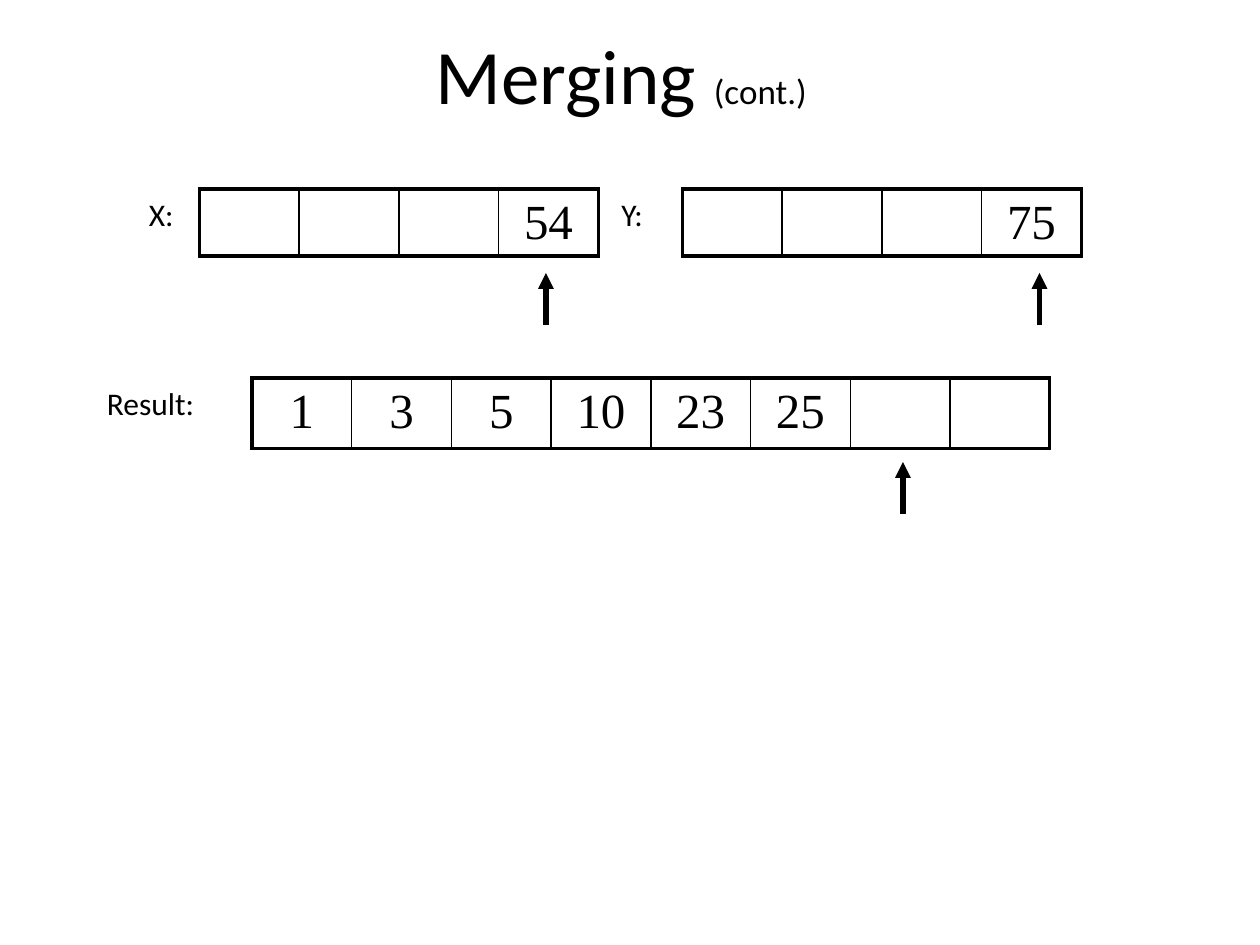
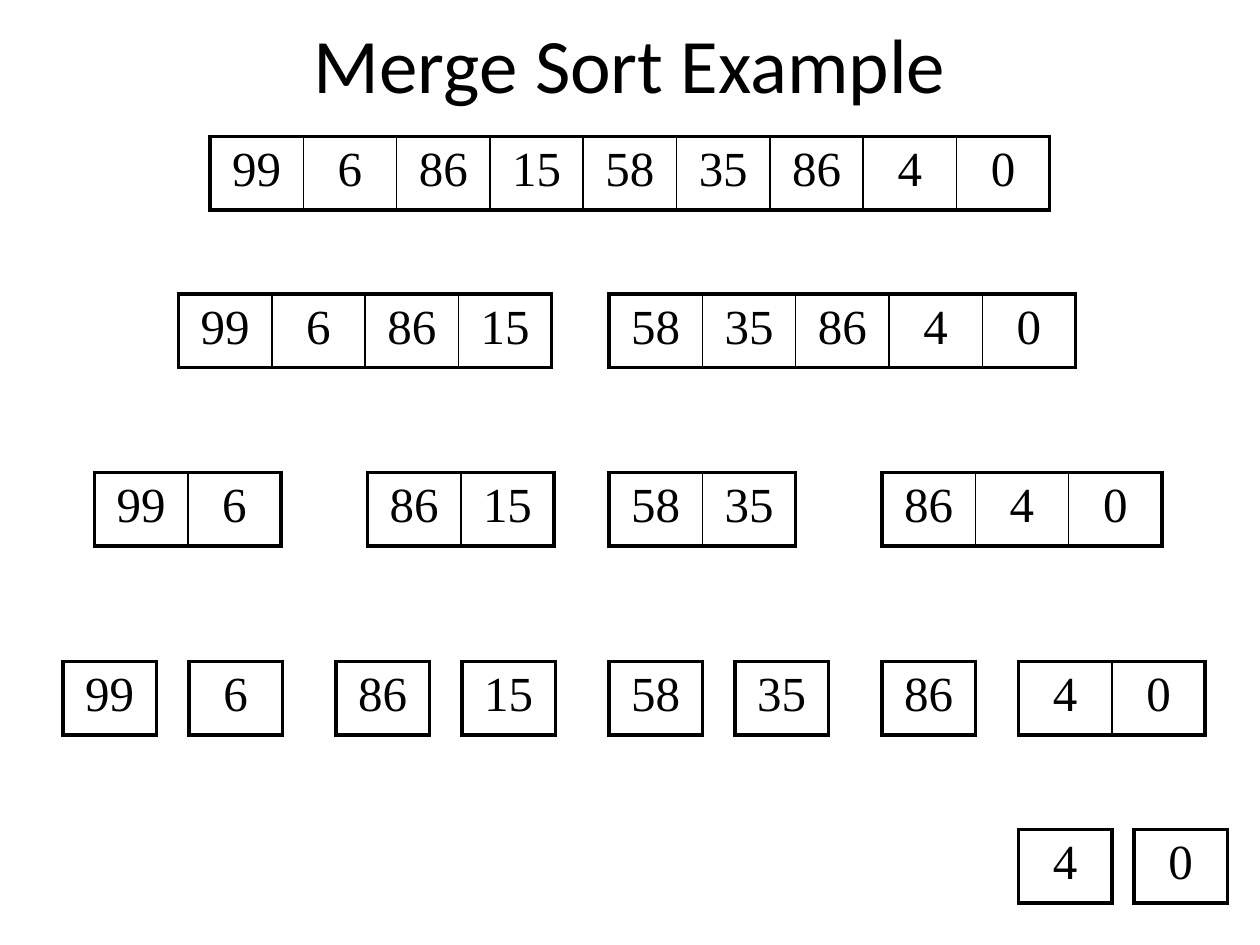
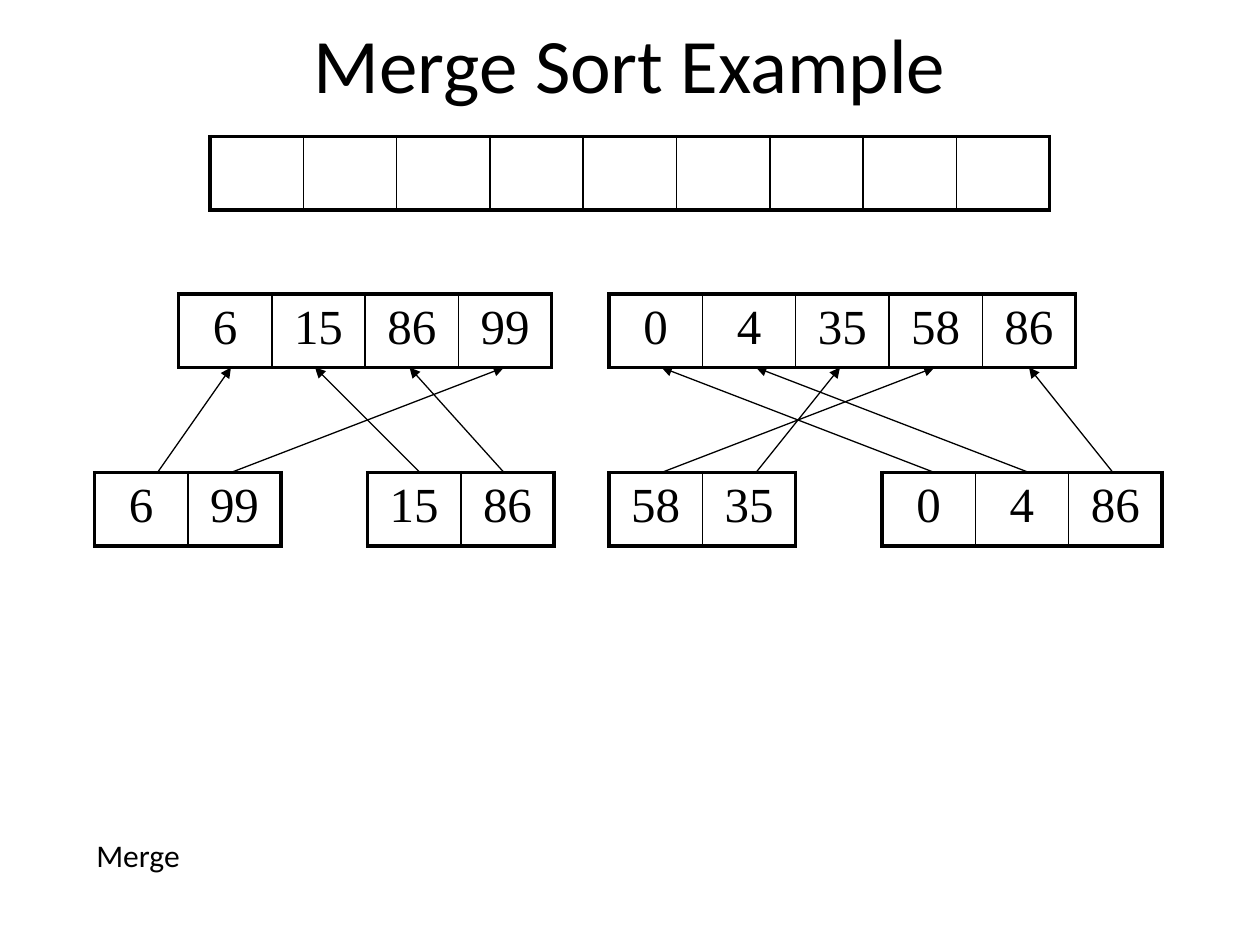
from lxml.etree import SubElement
from pptx import Presentation
from pptx.dml.color import RGBColor
from pptx.enum.shapes import MSO_CONNECTOR
from pptx.enum.text import MSO_ANCHOR, MSO_AUTO_SIZE, PP_ALIGN
from pptx.oxml.ns import qn
from pptx.util import Inches, Pt

INK = "000000"
LABEL_FONT = "Calibri"
NUMBER_FONT = "Times New Roman"
OUTER_LINE, INNER_LINE = 2.25, 1

MERGE_CELL = (9.5, 5.64)
SORT_CELL = (80 / 9, 7)
LEVEL_TOPS = (13, 28, 45, 63, 79)
LEVEL_LEFTS = (
    (20,),
    (17, 58),
    (9, 35, 58, 84),
    (6, 18, 32, 44, 58, 70, 84, 97),
    (97, 108),
)


def grid(units):
    return Inches(units / 12)


def paint(color_format, hex_color=INK):
    color_format.rgb = RGBColor.from_string(hex_color)


def style_font(font, name, size):
    font.name = name
    font.size = Pt(size)
    paint(font.color)


def add_titled_slide(deck, title, top, height, suffix=None):
    slide = deck.slides.add_slide(deck.slide_layouts[5])
    heading = slide.shapes.title
    heading.left, heading.top = grid(9), grid(top)
    heading.width, heading.height = grid(102), grid(height)
    heading.text_frame.vertical_anchor = MSO_ANCHOR.MIDDLE
    paragraph = heading.text_frame.paragraphs[0]
    paragraph.alignment = PP_ALIGN.CENTER
    style_font(paragraph.font, LABEL_FONT, 44)
    paragraph.add_run().text = title
    if suffix:
        small = paragraph.add_run()
        small.text = suffix
        small.font.size = Pt(20)
        paragraph.add_run().text = " "
    return slide


def add_label(slide, text, left, top, width):
    box = slide.shapes.add_textbox(grid(left), grid(top), grid(width), grid(6))
    frame = box.text_frame
    frame.word_wrap = True
    frame.auto_size = MSO_AUTO_SIZE.SHAPE_TO_FIT_TEXT
    frame.text = text
    style_font(frame.paragraphs[0].font, LABEL_FONT, 18)


def add_border(cell, side, width):
    line = SubElement(cell._tc.get_or_add_tcPr(), qn(f"a:ln{side}"), w=str(Pt(width)))
    SubElement(SubElement(line, qn("a:solidFill")), qn("a:srgbClr"), val=INK)


def add_array(slide, values, left, top, cell_size):
    cell_width, cell_height = cell_size
    count = len(values)
    array = slide.shapes.add_table(
        1, count, grid(left), grid(top), grid(cell_width * count), grid(cell_height)
    ).table
    array.first_row = array.horz_banding = False
    for index, value in enumerate(values):
        cell = array.cell(0, index)
        cell.text = str(value)
        paragraph = cell.text_frame.paragraphs[0]
        paragraph.alignment = PP_ALIGN.CENTER
        style_font(paragraph.font, NUMBER_FONT, 28)
        add_border(cell, "L", OUTER_LINE if index == 0 else INNER_LINE)
        add_border(cell, "R", OUTER_LINE if index == count - 1 else INNER_LINE)
        add_border(cell, "T", OUTER_LINE)
        add_border(cell, "B", OUTER_LINE)
        cell.fill.background()


def add_sort_levels(slide, levels):
    for top, lefts, arrays in zip(LEVEL_TOPS, LEVEL_LEFTS, levels):
        for left, values in zip(lefts, arrays):
            add_array(slide, values, left, top, SORT_CELL)


def add_arrow(slide, start, end, width):
    arrow = slide.shapes.add_connector(
        MSO_CONNECTOR.STRAIGHT, *(grid(units) for units in (*start, *end))
    )
    paint(arrow.line.color)
    arrow.line.width = Pt(width)
    SubElement(arrow.line._get_or_add_ln(), qn("a:tailEnd"), type="triangle")
    SubElement(arrow._element.spPr, qn("a:effectLst"))


def build_merging(deck):
    slide = add_titled_slide(deck, "Merging ", 2, 10, "(cont.)")
    add_array(slide, ["", "", "", 54], 19, 18, MERGE_CELL)
    add_array(slide, ["", "", "", 75], 65, 18, MERGE_CELL)
    add_array(slide, [1, 3, 5, 10, 23, 25, "", ""], 24, 36, (9.5, 6.72))
    for x, tip in ((52, 26), (99, 26), (86, 44)):
        add_arrow(slide, (x, tip + 5), (x, tip), 3)
    add_label(slide, "X:", 13, 18, 7)
    add_label(slide, "Y:", 58, 18, 7)
    add_label(slide, "Result:", 9, 36, 14)


def build_splitting(deck):
    slide = add_titled_slide(deck, "Merge Sort Example", 0, 12)
    add_sort_levels(slide, (
        [[99, 6, 86, 15, 58, 35, 86, 4, 0]],
        [[99, 6, 86, 15], [58, 35, 86, 4, 0]],
        [[99, 6], [86, 15], [58, 35], [86, 4, 0]],
        [[99], [6], [86], [15], [58], [35], [86], [4, 0]],
        [[4], [0]],
    ))


def build_merge_step(deck):
    slide = add_titled_slide(deck, "Merge Sort Example", 0, 12)
    add_sort_levels(slide, (
        [[""] * 9],
        [[6, 15, 86, 99], [0, 4, 35, 58, 86]],
        [[6, 99], [15, 86], [58, 35], [0, 4, 86]],
    ))
    add_label(slide, "Merge", 8, 79, 61)
    moves = ((15, 22), (40, 30), (22, 48), (48, 39), (63, 89),
             (89, 63), (98, 72), (72, 80), (106, 98))
    merged_bottom = LEVEL_TOPS[1] + SORT_CELL[1]
    for source, target in moves:
        add_arrow(slide, (source, LEVEL_TOPS[2]), (target, merged_bottom), 0.75)


def main():
    deck = Presentation()
    deck.slide_width, deck.slide_height = Inches(10), Inches(7.5)
    build_merging(deck)
    build_splitting(deck)
    build_merge_step(deck)
    deck.save("out.pptx")


if __name__ == "__main__":
    main()
